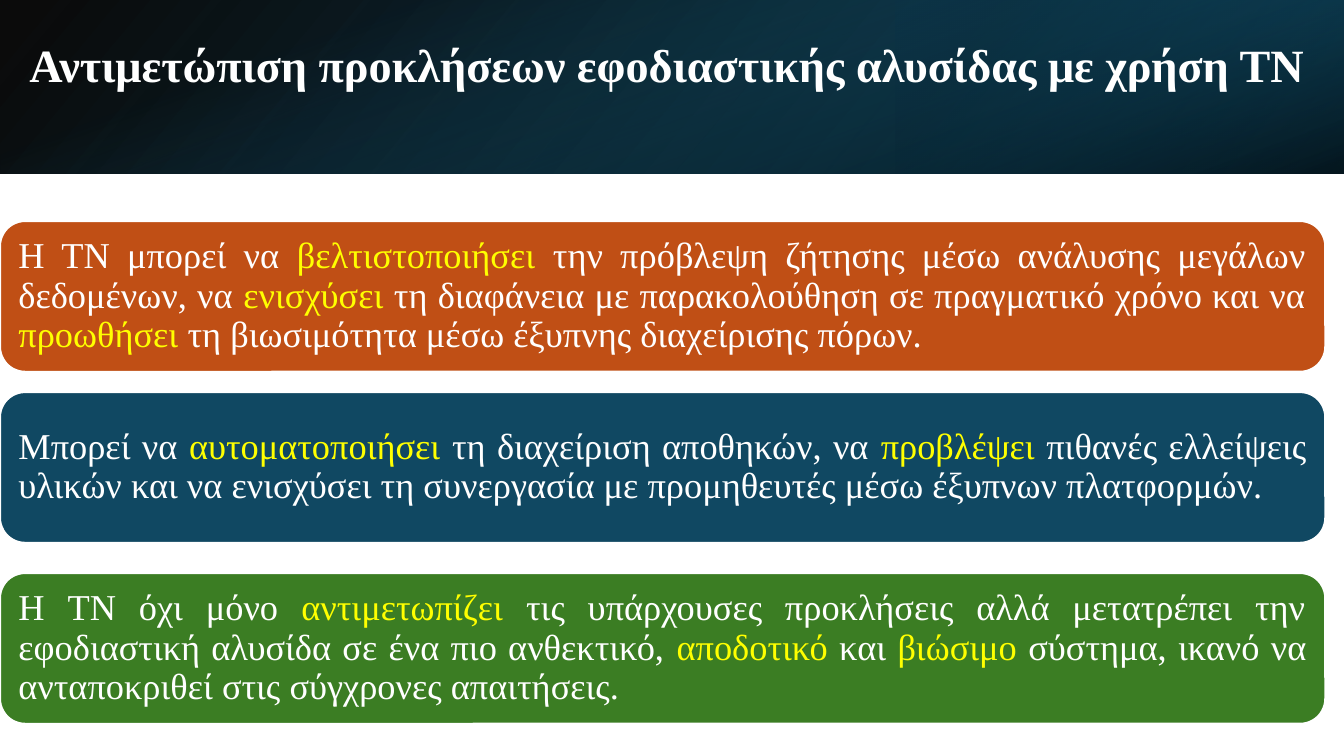
import dataclasses

import lxml.etree
import pptx
import pptx.dml.color
import pptx.enum.shapes
import pptx.enum.text
import pptx.oxml.ns
import pptx.util


@dataclasses.dataclass(frozen=True)
class Theme:
    font: str = "Times New Roman"
    title_size: int = 33
    body_size: int = 26
    text: str = "FFFFFF"
    highlight: str = "FFFF00"
    black: str = "000000"
    navy: str = "104862"
    deep_teal: str = "0B3041"
    teal: str = "156082"
    orange: str = "C04F15"
    green: str = "3B7D23"


class SlideBuilder:
    """Draw the elements of one slide in one theme."""

    def __init__(self, slide, theme):
        self.slide = slide
        self.theme = theme

    def color(self, value):
        return pptx.dml.color.RGBColor.from_string(value)

    def box(self, kind, place):
        lengths = [pptx.util.Cm(value) for value in place]
        shape = self.slide.shapes.add_shape(kind, *lengths)
        shape.shadow.inherit = False
        return shape

    def gradient(self, place, angle, stops, rotation=0, flipped=False):
        shape = self.box(pptx.enum.shapes.MSO_SHAPE.RECTANGLE, place)
        shape.line.fill.background()
        shape.rotation = rotation
        if flipped:
            shape._element.spPr.xfrm.set("flipH", "1")
        shape.fill.gradient()
        shape.fill.gradient_angle = angle
        for stop, (position, color, opacity) in zip(shape.fill.gradient_stops, stops):
            stop.position = position / 100
            stop.color.rgb = self.color(color)
            color_element = stop._gs.find(pptx.oxml.ns.qn("a:srgbClr"))
            alpha = lxml.etree.SubElement(color_element, pptx.oxml.ns.qn("a:alpha"))
            alpha.set("val", str(opacity * 1000))

    def style_run(self, run, size, color, bold=False):
        run.font.name = self.theme.font
        run.font.size = pptx.util.Pt(size)
        run.font.bold = bold
        run.font.color.rgb = self.color(color)

    def prepare(self, shape, alignment):
        shape.text_frame.word_wrap = True
        shape.text_frame.vertical_anchor = pptx.enum.text.MSO_ANCHOR.MIDDLE
        paragraph = shape.text_frame.paragraphs[0]
        paragraph.alignment = alignment
        paragraph.line_spacing = 0.9
        return paragraph

    def title(self, text, place):
        lengths = [pptx.util.Cm(value) for value in place]
        shape = self.slide.shapes.add_textbox(*lengths)
        shape.text_frame.text = text
        paragraph = self.prepare(shape, pptx.enum.text.PP_ALIGN.CENTER)
        self.style_run(paragraph.runs[0], self.theme.title_size, self.theme.text, True)

    def card(self, marked_text, fill, place):
        """Add a rounded card whose starred words are highlighted."""
        shape = self.box(pptx.enum.shapes.MSO_SHAPE.ROUNDED_RECTANGLE, place)
        shape.fill.solid()
        shape.fill.fore_color.rgb = self.color(fill)
        shape.line.color.rgb = self.color(self.theme.text)
        shape.line.width = pptx.util.Pt(1.5)
        frame = shape.text_frame
        frame.margin_left = frame.margin_right = pptx.util.Cm(0.28)
        frame.margin_top = frame.margin_bottom = pptx.util.Cm(0.28)
        paragraph = self.prepare(shape, pptx.enum.text.PP_ALIGN.JUSTIFY)
        colors = (self.theme.text, self.theme.highlight)
        for index, part in enumerate(marked_text.split("*")):
            if part:
                run = paragraph.add_run()
                run.text = part
                self.style_run(run, self.theme.body_size, colors[index % 2])


def main():
    theme = Theme()
    presentation = pptx.Presentation()
    presentation.slide_width = pptx.util.Cm(33.87)
    presentation.slide_height = pptx.util.Cm(19.05)
    slide = presentation.slides.add_slide(presentation.slide_layouts[6])
    builder = SlideBuilder(slide, theme)

    width, header = 33.87, 4.38
    builder.gradient((0, 0, width, header), 220,
                     [(0, theme.black, 96), (100, theme.navy, 100)], flipped=True)
    builder.gradient((width * 2 / 3, 0, width / 3, header), 40,
                     [(19, theme.deep_teal, 68), (100, theme.teal, 79)],
                     rotation=180, flipped=True)
    offset = (width - header) / 2
    builder.gradient((offset, -offset, header, width), 20,
                     [(23, theme.teal, 0), (99, theme.black, 74)], rotation=90)

    builder.title("Αντιμετώπιση προκλήσεων εφοδιαστικής αλυσίδας με χρήση ΤΝ",
                  (0.23, 0, 33.17, 3.4))

    cards = [
        (5.57, theme.orange,
         "Η ΤΝ μπορεί να *βελτιστοποιήσει *την πρόβλεψη ζήτησης μέσω ανάλυσης "
         "μεγάλων δεδομένων, να *ενισχύσει *τη διαφάνεια με παρακολούθηση σε "
         "πραγματικό χρόνο και να *προωθήσει *τη βιωσιμότητα μέσω έξυπνης "
         "διαχείρισης πόρων."),
        (9.88, theme.navy,
         "Μπορεί να *αυτοματοποιήσει* τη διαχείριση αποθηκών, να *προβλέψει* "
         "πιθανές ελλείψεις υλικών και να ενισχύσει τη συνεργασία με "
         "προμηθευτές μέσω έξυπνων πλατφορμών."),
        (14.44, theme.green,
         "H ΤΝ όχι μόνο *αντιμετωπίζει* τις υπάρχουσες προκλήσεις αλλά "
         "μετατρέπει την εφοδιαστική αλυσίδα σε ένα πιο ανθεκτικό, "
         "*αποδοτικό* και *βιώσιμο* σύστημα, ικανό να ανταποκριθεί στις "
         "σύγχρονες απαιτήσεις."),
    ]
    for top, fill, text in cards:
        builder.card(text, fill, (0, top, 33.4, 3.8))

    presentation.save("out.pptx")


if __name__ == "__main__":
    main()
